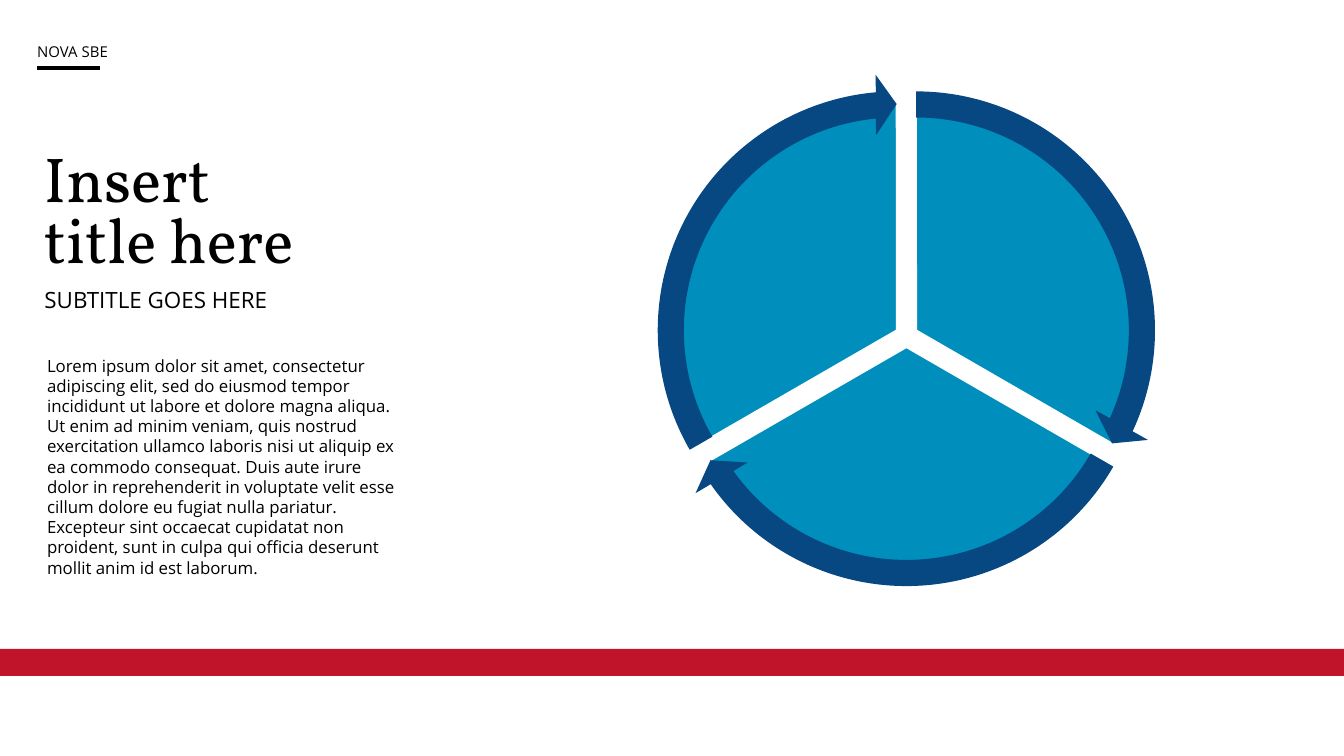
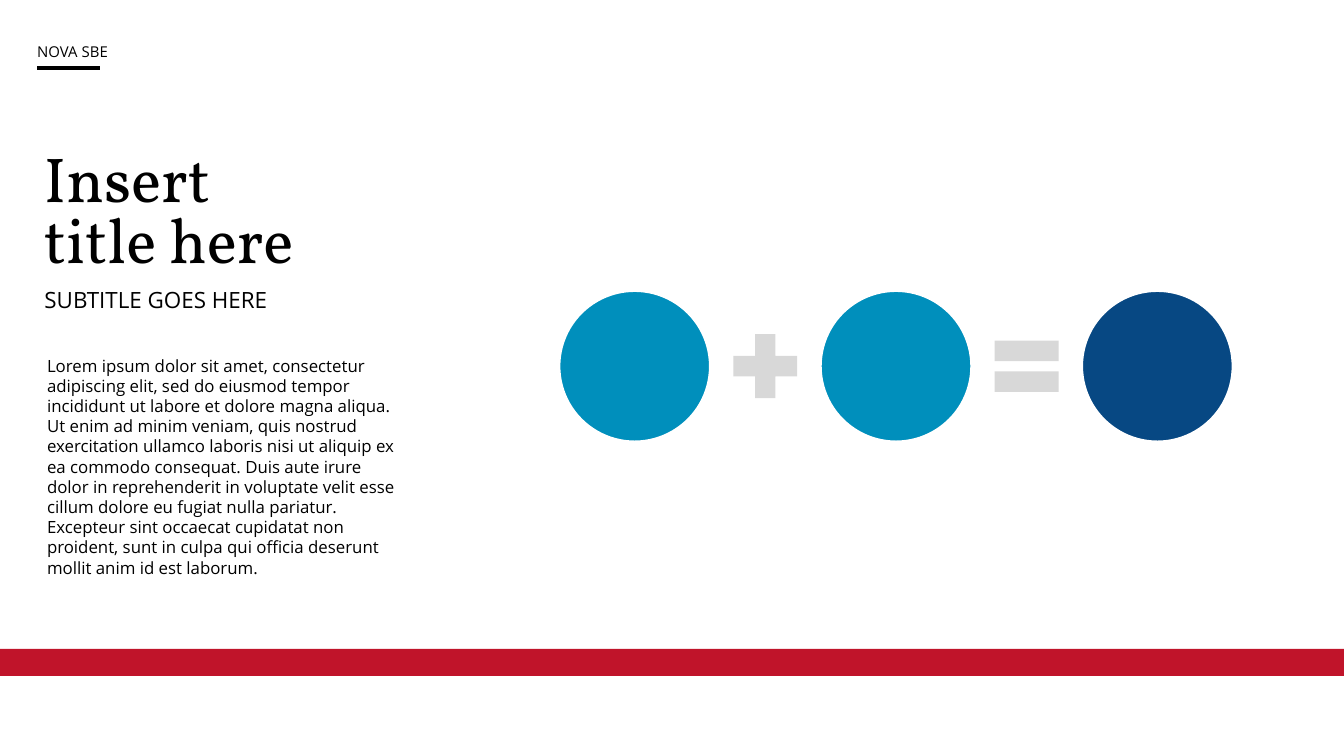
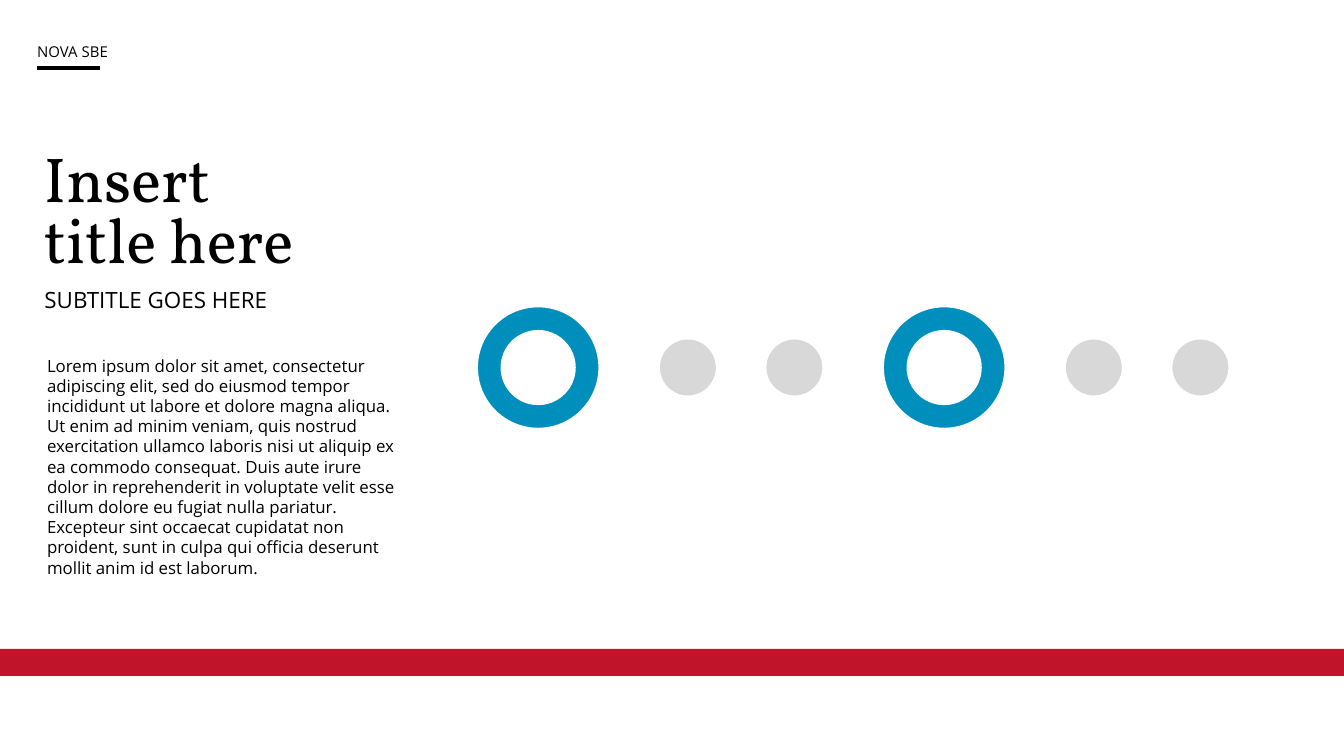
import math
import lxml.etree
import pptx
import pptx.dml.color
import pptx.enum.shapes
import pptx.enum.text
import pptx.oxml.ns
import pptx.util

Pt = pptx.util.Pt
qn = pptx.oxml.ns.qn
KIND = pptx.enum.shapes.MSO_SHAPE
ANCHOR = pptx.enum.text.MSO_ANCHOR
AUTO = pptx.enum.text.MSO_AUTO_SIZE


class Theme:
    black = pptx.dml.color.RGBColor.from_string("000000")
    white = pptx.dml.color.RGBColor.from_string("FFFFFF")
    red = pptx.dml.color.RGBColor.from_string("C0142A")
    blue = pptx.dml.color.RGBColor.from_string("008FBC")
    navy = pptx.dml.color.RGBColor.from_string("074883")
    grey = pptx.dml.color.RGBColor.from_string("D8D8D8")
    serif, sans = "Vollkorn", "Open Sans"
    title, subtitle, body, label = 34, 12, 9, 8


LOREM = (
    "Lorem ipsum dolor sit amet, consectetur adipiscing elit, sed do eiusmod "
    "tempor incididunt ut labore et dolore magna aliqua. Ut enim ad minim "
    "veniam, quis nostrud exercitation ullamco laboris nisi ut aliquip ex ea "
    "commodo consequat. Duis aute irure dolor in reprehenderit in voluptate "
    "velit esse cillum dolore eu fugiat nulla pariatur. Excepteur sint "
    "occaecat cupidatat non proident, sunt in culpa qui officia deserunt "
    "mollit anim id est laborum."
)


def write(box, text, size, font=Theme.sans, lead=None, pad=(5.1, 2.6)):
    """Fill a box with one left-aligned paragraph."""
    frame = box.text_frame
    frame.text = text
    frame.word_wrap = True
    frame.auto_size = AUTO.NONE
    frame.vertical_anchor = ANCHOR.TOP
    frame.margin_left = frame.margin_right = Pt(pad[0])
    frame.margin_top = frame.margin_bottom = Pt(pad[1])
    para = frame.paragraphs[0]
    para.alignment = pptx.enum.text.PP_ALIGN.LEFT
    para.line_spacing = lead
    para.space_before = Pt(0)
    for run in para.runs:
        run.font.size = Pt(size)
        run.font.name = font
        run.font.color.rgb = Theme.black


def draw(shapes, kind, x, y, wide, high, fill, edge=True, turns=()):
    """Add a preset shape centred on x, y, with an optional white edge."""
    shape = shapes.add_shape(
        kind, Pt(x - wide / 2), Pt(y - high / 2), Pt(wide), Pt(high))
    shape.shadow.inherit = False
    shape.fill.solid()
    shape.fill.fore_color.rgb = fill
    if edge:
        shape.line.color.rgb = Theme.white
        shape.line.width = Pt(1)
    else:
        shape.line.fill.background()
    for i, turn in enumerate(turns):
        shape.adjustments[i] = turn


deck = pptx.Presentation()
deck.slide_width, deck.slide_height = Pt(720), Pt(405)

# Shared frame: band, label with rule, title, subtitle, body
groups = []
for page in range(3):
    slide = deck.slides.add_slide(deck.slide_layouts[5])
    shapes = slide.shapes
    draw(shapes, KIND.RECTANGLE, 360, 354.9, 720, 14.4, Theme.red, False)

    rule = shapes.add_connector(
        pptx.enum.shapes.MSO_CONNECTOR.STRAIGHT,
        Pt(20), Pt(36.6), Pt(53.8), Pt(36.6))
    rule.line.color.rgb = Theme.black
    rule.line.width = Pt(2)
    lxml.etree.SubElement(rule.element.spPr, qn("a:effectLst"))

    title = shapes.title
    title.left, title.top = Pt(18.4), Pt(80)
    title.width, title.height = Pt(260), Pt(67.7)
    write(title, "Insert \vtitle here", Theme.title, Theme.serif, 0.8)

    box = shapes.add_textbox(Pt(18.7), Pt(153.7), Pt(231), Pt(13.7))
    write(box, "SUBTITLE GOES HERE", Theme.subtitle, lead=0.8)
    box = shapes.add_textbox(Pt(20.1), Pt(187.7), Pt(198), Pt(104.4))
    write(box, LOREM, Theme.body)
    box = shapes.add_textbox(Pt(18.5), Pt(21.6), Pt(194.4), Pt(12.2))
    write(box, "NOVA SBE", Theme.label, pad=(1.4, 1.4))
    box.text_frame.vertical_anchor = ANCHOR.MIDDLE

    groups.append(shapes.add_group_shape().shapes)

cycle, formula, steps = groups

# Slide 1: three slices pushed out from the centre
hubs = []
for start in (270, 30, 150):
    push = math.radians(start + 60)
    x, y = 485.6 + 6 * math.cos(push), 180 + 6 * math.sin(push)
    hubs.append((start, x, y))
    # Pie angles are held as degrees times 0.6
    draw(cycle, KIND.PIE, x, y, 244, 244, Theme.blue,
         turns=(start * 0.6, (start + 120) % 360 * 0.6))

# Arrow outline as radius and angle past the start of the slice
head = [(137.4, 115.3), (121.2, 120), (105.2, 114), (114, 114.4)]
outline = [("a:moveTo", [(128, 0)])]
for r, begin, end, tail in ((128, 0, 115, head), (114, 114.4, 0, [])):
    half = (end - begin) / 2
    bend = 4 / 3 * math.tan(math.radians(half) / 4)
    lean, far = math.degrees(math.atan(bend)), r * math.hypot(1, bend)
    for a in (begin, begin + half):
        outline.append(("a:cubicBezTo", [
            (far, a + lean), (far, a + half - lean), (r, a + half)]))
    outline += [("a:lnTo", [spot]) for spot in tail]

# A curved arrow round each slice, in a square frame
side = 274.4
full = round(side * 100)
for start, x, y in hubs:
    pen = cycle.build_freeform(0, 0, scale=Pt(1) / 100)
    pen.add_line_segments([(full, 0), (full, full), (0, full)])
    arrow = pen.convert_to_shape(Pt(x - side / 2), Pt(y - side / 2))
    arrow.shadow.inherit = False
    arrow.fill.solid()
    arrow.fill.fore_color.rgb = Theme.navy
    arrow.line.fill.background()

    trace = next(arrow.element.iter(qn("a:path")))
    for node in list(trace):
        trace.remove(node)
    for tag, spots in outline:
        node = lxml.etree.SubElement(trace, qn(tag))
        for r, a in spots:
            turn = math.radians(start + a)
            lxml.etree.SubElement(
                node, qn("a:pt"),
                x=str(round(full / 2 + 100 * r * math.cos(turn))),
                y=str(round(full / 2 + 100 * r * math.sin(turn))))
    lxml.etree.SubElement(trace, qn("a:close"))

# Slide 2: circle plus circle equals circle
terms = [
    (KIND.OVAL, 80.6, Theme.blue, True, ()),
    (KIND.MATH_PLUS, 46.6, Theme.grey, False, (0.235,)),
    (KIND.OVAL, 80.6, Theme.blue, True, ()),
    (KIND.MATH_EQUAL, 46.6, Theme.grey, False, (0.235, 0.118)),
    (KIND.OVAL, 80.6, Theme.navy, True, ()),
]
for i, (kind, size, fill, edge, turns) in enumerate(terms):
    draw(formula, kind, 340 + 70 * i, 196.2, size, size, fill, edge, turns)

# Slide 3: a ring and two dots, twice
for x in (288.3, 505.8):
    draw(steps, KIND.DONUT, x, 196.9, 65.5, 65.5, Theme.blue, turns=(0.2,))
    for gap in (80.2, 137.3):
        draw(steps, KIND.OVAL, x + gap, 196.9, 31, 31, Theme.grey)

deck.save("out.pptx")
